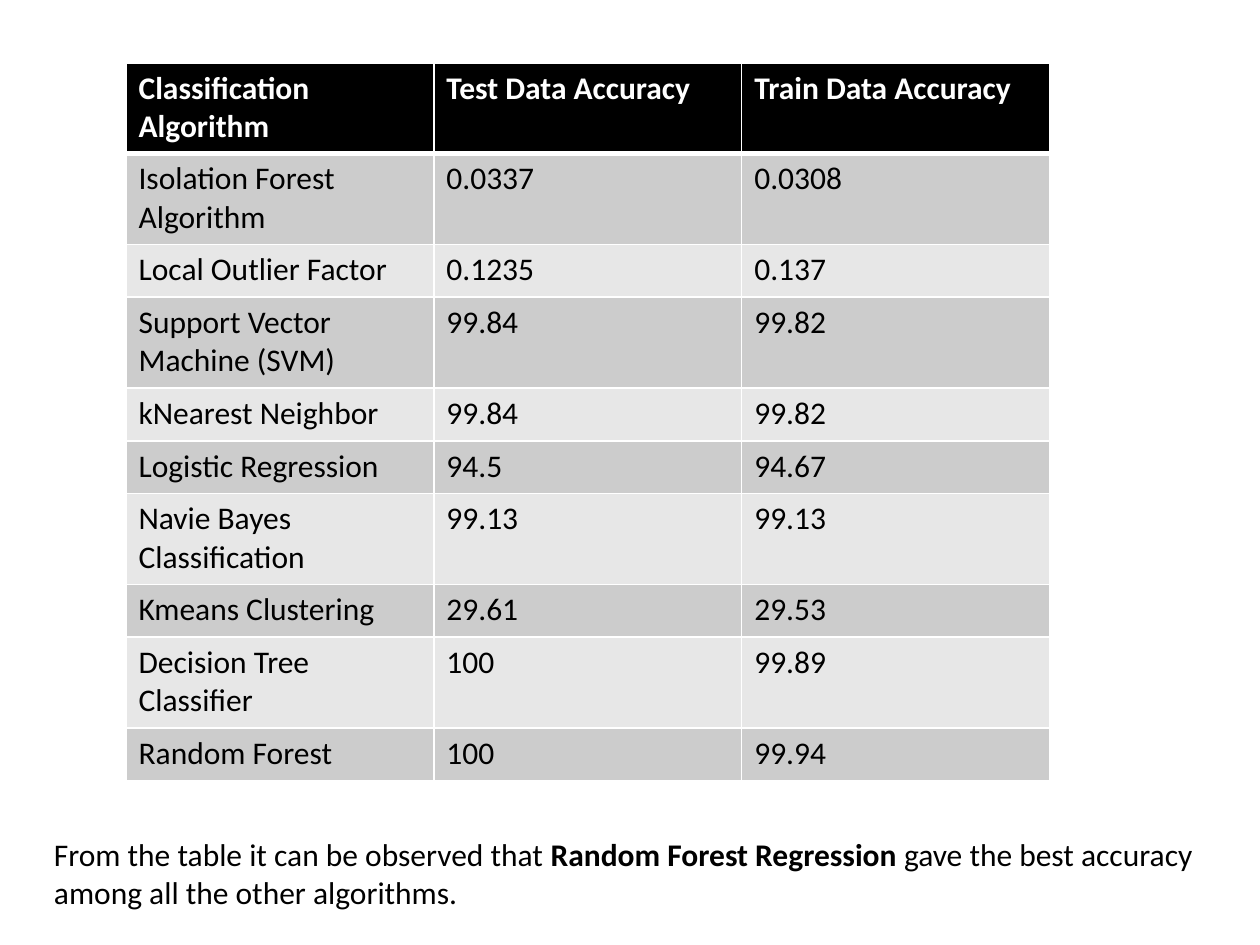
from lxml import etree
from pptx import Presentation
from pptx.dml.color import RGBColor
from pptx.enum.text import MSO_AUTO_SIZE
from pptx.oxml.ns import qn
from pptx.util import Inches, Pt

FIT = MSO_AUTO_SIZE.SHAPE_TO_FIT_TEXT
BLACK, WHITE, DARK, LIGHT = "000000", "FFFFFF", "CCCCCC", "E7E7E7"


def color(code):
    """Turn a hex string into a colour."""
    return RGBColor.from_string(code)


class Page:
    """Hold the style and the current slide."""

    font = "Calibri"
    size = 18

    def __init__(self, slide):
        """Keep the slide to draw on."""
        self.slide = slide

    def style(self, run, code=BLACK, bold=False):
        """Format one run."""
        font = run.font
        font.name, font.size, font.bold = self.font, Pt(self.size), bold
        font.color.rgb = color(code)

    def edge(self, cell, side, width):
        """Draw one white cell border."""
        props = cell._tc.get_or_add_tcPr()
        line = etree.SubElement(props, qn("a:ln" + side), w=str(Pt(width)))
        fill = etree.SubElement(line, qn("a:solidFill"))
        etree.SubElement(fill, qn("a:srgbClr"), val=WHITE)

    def table(self, rows, left, top, width, tall, short, limit):
        """Add a banded table whose rows with long names are taller."""
        count = len(rows[0])
        frame = self.slide.shapes.add_table(
            len(rows), count, Inches(left), Inches(top), Inches(width), Inches(tall))
        grid = frame.table
        for col in grid.columns:
            col.width = Inches(width / count)
        for i, row in enumerate(rows):
            grid.rows[i].height = Inches(tall if len(row[0]) > limit else short)
            head = i == 0
            back = BLACK if head else DARK if i % 2 else LIGHT
            edges = {"L": 1, "R": 1, "T": 3 if i == 1 else 1, "B": 3 if head else 1}
            for j, text in enumerate(row):
                cell = grid.cell(i, j)
                for side, thick in edges.items():
                    self.edge(cell, side, thick)
                cell.fill.solid()
                cell.fill.fore_color.rgb = color(back)
                cell.text_frame.text = text
                run = cell.text_frame.paragraphs[0].runs[0]
                self.style(run, WHITE if head else BLACK, head)

    def text(self, parts, left, top, width, height):
        """Add a text box from pairs of wording and weight."""
        box = self.slide.shapes.add_textbox(
            Inches(left), Inches(top), Inches(width), Inches(height))
        frame = box.text_frame
        frame.word_wrap = True
        frame.auto_size = FIT
        for words, bold in parts:
            run = frame.paragraphs[0].add_run()
            run.text = words
            self.style(run, bold=bold)


deck = Presentation()
deck.slide_width, deck.slide_height = Inches(10), Inches(7.5)
page = Page(deck.slides.add_slide(deck.slide_layouts[6]))

scores = [
    ("Classification Algorithm", "Test Data Accuracy", "Train Data Accuracy"),
    ("Isolation Forest Algorithm", "0.0337", "0.0308"),
    ("Local Outlier Factor", "0.1235", "0.137"),
    ("Support Vector Machine (SVM)", "99.84", "99.82"),
    ("kNearest Neighbor", "99.84", "99.82"),
    ("Logistic Regression", "94.5", "94.67"),
    ("Navie Bayes Classification", "99.13", "99.13"),
    ("Kmeans Clustering", "29.61", "29.53"),
    ("Decision Tree Classifier", "100", "99.89"),
    ("Random Forest", "100", "99.94"),
]
page.table(scores, 1, 0.5, 7.33, tall=0.72, short=0.42, limit=20)

page.text([
    ("From the table it can be observed that ", False),
    ("Random Forest Regression", True),
    (" gave the best accuracy among all the other algorithms.", False),
], 0.33, 6.58, 9.25, 0.71)

deck.save("out.pptx")
